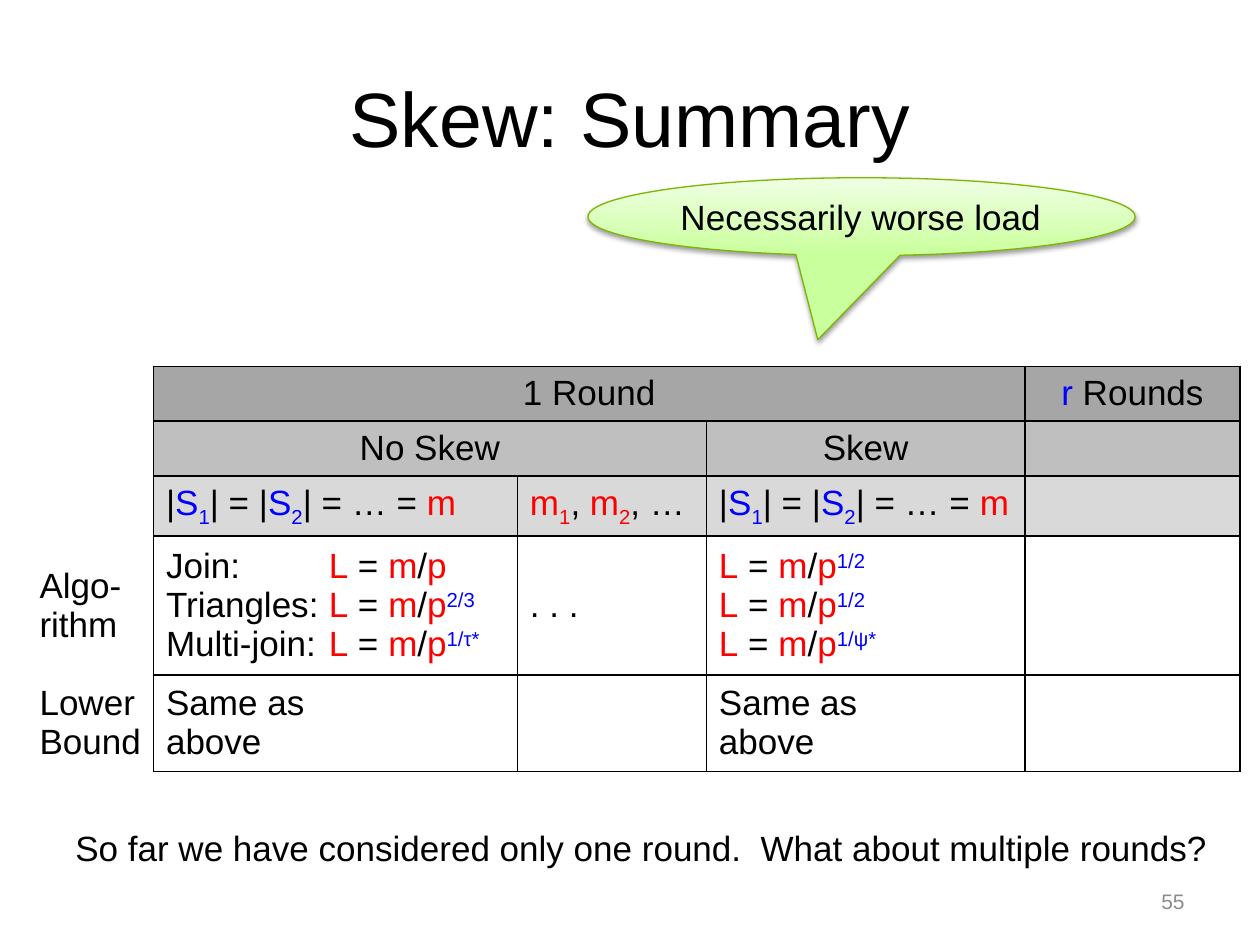
from lxml import etree
from pptx import Presentation
from pptx.dml.color import RGBColor
from pptx.enum.shapes import MSO_SHAPE
from pptx.enum.text import MSO_ANCHOR, PP_ALIGN
from pptx.oxml import parse_xml
from pptx.util import Pt

CALLOUT = MSO_SHAPE.OVAL_CALLOUT
MIDDLE = MSO_ANCHOR.MIDDLE
LEFT, CENTER, RIGHT = PP_ALIGN.LEFT, PP_ALIGN.CENTER, PP_ALIGN.RIGHT
NS = "http://schemas.openxmlformats.org/drawingml/2006/main"
BLACK, BLUE, RED = "000000", "0000FF", "FF0000"
SUB, SUP = -25000, 30000


def color(hex_code):
    return RGBColor.from_string(hex_code)


def write(para, pieces, size=20, align=LEFT):
    """Add runs given as (text, colour, baseline); colour and baseline may be left out."""
    para.alignment = align
    for text, *style in pieces:
        if text == "\n":
            para.add_line_break()
            continue
        span = para.add_run()
        span.text = text
        span.font.name = "Arial"
        span.font.size = Pt(size)
        span.font.color.rgb = color(style[0] if style else BLACK)
        if len(style) == 2:
            span._r.get_or_add_rPr().set("baseline", str(style[1]))


deck = Presentation()
deck.slide_width, deck.slide_height = Pt(720), Pt(540)
page = deck.slides.add_slide(deck.slide_layouts[5])

# Title
title = page.shapes.title
title.left, title.top, title.width, title.height = Pt(36), Pt(21.6), Pt(648), Pt(90)
title.text_frame.vertical_anchor = MIDDLE
write(title.text_frame.paragraphs[0], [("Skew: Summary",)], 44, CENTER)

# Page number
number = page.shapes.add_textbox(Pt(516), Pt(500.5), Pt(168), Pt(28.75))
number.text_frame.word_wrap = True
number.text_frame.vertical_anchor = MIDDLE
write(number.text_frame.paragraphs[0], [("55", "8C8C8C")], 12, RIGHT)

# Table content: each cell is a list of paragraphs
sizes = [("|",), ("S", BLUE), ("1", BLUE, SUB), ("| = |",), ("S", BLUE),
         ("2", BLUE, SUB), ("| = … = ",), ("m", RED)]
different_sizes = [("m", RED), ("1", RED, SUB), (",",), (" m", RED), ("2", RED, SUB), (", …",)]
load = [("L", RED), (" = ",), ("m", RED), ("/",), ("p", RED)]
algorithms = [
    [("Join:\t",), *load],
    [("Triangles:\t",), *load, ("2/3", BLUE, SUP)],
    [("Multi-join:\t",), *load, ("1/τ*", BLUE, SUP)],
]
skew_loads = [[*load, (power, BLUE, SUP)] for power in ("1/2", "1/2", "1/ψ*")]
same = [[("Same as",), ("\n",), ("above",)]]
cells = [
    [[], [[("1 Round",)]], [], [], [[("r", BLUE), (" Rounds",)]]],
    [[], [[("No Skew",)]], [], [[("Skew",)]], []],
    [[], [sizes], [different_sizes], [sizes], []],
    [[[("Algo-rithm",)]], algorithms, [[(". . .",)]], skew_loads, []],
    [[[("Lower Bound",)]], same, [], same, []],
]
column_widths = [72.3, 208, 108, 182, 123]
row_heights = [29.6, 29.6, 32.8, 74, 52]
row_fills = ["A6A6A6", "BFBFBF", "D9D9D9", None, None]

frame = page.shapes.add_table(5, 5, Pt(15.4), Pt(209.4),
                              Pt(sum(column_widths)), Pt(sum(row_heights)))
table = frame.table
table.first_row = table.horz_banding = False
for column, width in zip(table.columns, column_widths):
    column.width = Pt(width)
for row, height in zip(table.rows, row_heights):
    row.height = Pt(height)
table.cell(0, 1).merge(table.cell(0, 3))
table.cell(1, 1).merge(table.cell(1, 2))

for row_index, row_cells in enumerate(cells):
    for column_index, paragraphs in enumerate(row_cells):
        cell = table.cell(row_index, column_index)
        cell.vertical_anchor = MIDDLE
        if column_index == 0:
            cell.margin_right = Pt(2)
        properties = cell._tc.get_or_add_tcPr()
        for side in "R" if column_index == 0 else "LRTB":
            properties.append(parse_xml(
                f'<a:ln{side} xmlns:a="{NS}" w="12700"><a:solidFill>'
                f'<a:srgbClr val="{BLACK}"/></a:solidFill></a:ln{side}>'))
        if column_index and row_fills[row_index]:
            cell.fill.solid()
            cell.fill.fore_color.rgb = color(row_fills[row_index])
        else:
            cell.fill.background()
        for index, pieces in enumerate(paragraphs):
            text = cell.text_frame
            para = text.add_paragraph() if index else text.paragraphs[0]
            if paragraphs is algorithms:
                tabs = etree.SubElement(para._p.get_or_add_pPr(), f"{{{NS}}}tabLst")
                etree.SubElement(tabs, f"{{{NS}}}tab", pos=str(Pt(93)), algn="l")
            write(para, pieces, align=CENTER if row_index < 2 else LEFT)

# Closing question
question = page.shapes.add_textbox(Pt(36), Pt(468.7), Pt(666.7), Pt(31.5))
question.text_frame.word_wrap = False
write(question.text_frame.paragraphs[0],
      [("So far we have considered only one round.  What about multiple rounds?",)])

# Callout
callout = page.shapes.add_shape(CALLOUT, Pt(336), Pt(101.6), Pt(312.7), Pt(44.5))
callout.adjustments[0], callout.adjustments[1] = -0.08, 1.58
callout.fill.gradient()
callout.fill.gradient_angle = 90
for stop, hue in zip(callout.fill.gradient_stops, ("C9FF9C", "F0FFE4")):
    stop.color.rgb = color(hue)
callout.line.color.rgb = color("7DB602")
callout.line.width = Pt(0.75)
callout.shadow.inherit = False
effects = callout._element.spPr.find(f"{{{NS}}}effectLst")
effects.append(parse_xml(
    f'<a:outerShdw xmlns:a="{NS}" blurRad="{Pt(3.1)}" dist="{Pt(1.6)}" dir="5400000" '
    f'rotWithShape="0"><a:srgbClr val="{BLACK}"><a:alpha val="38000"/></a:srgbClr></a:outerShdw>'))
callout.text_frame.word_wrap = False
callout.text_frame.vertical_anchor = MIDDLE
write(callout.text_frame.paragraphs[0], [("Necessarily worse load",)])

deck.save("out.pptx")
